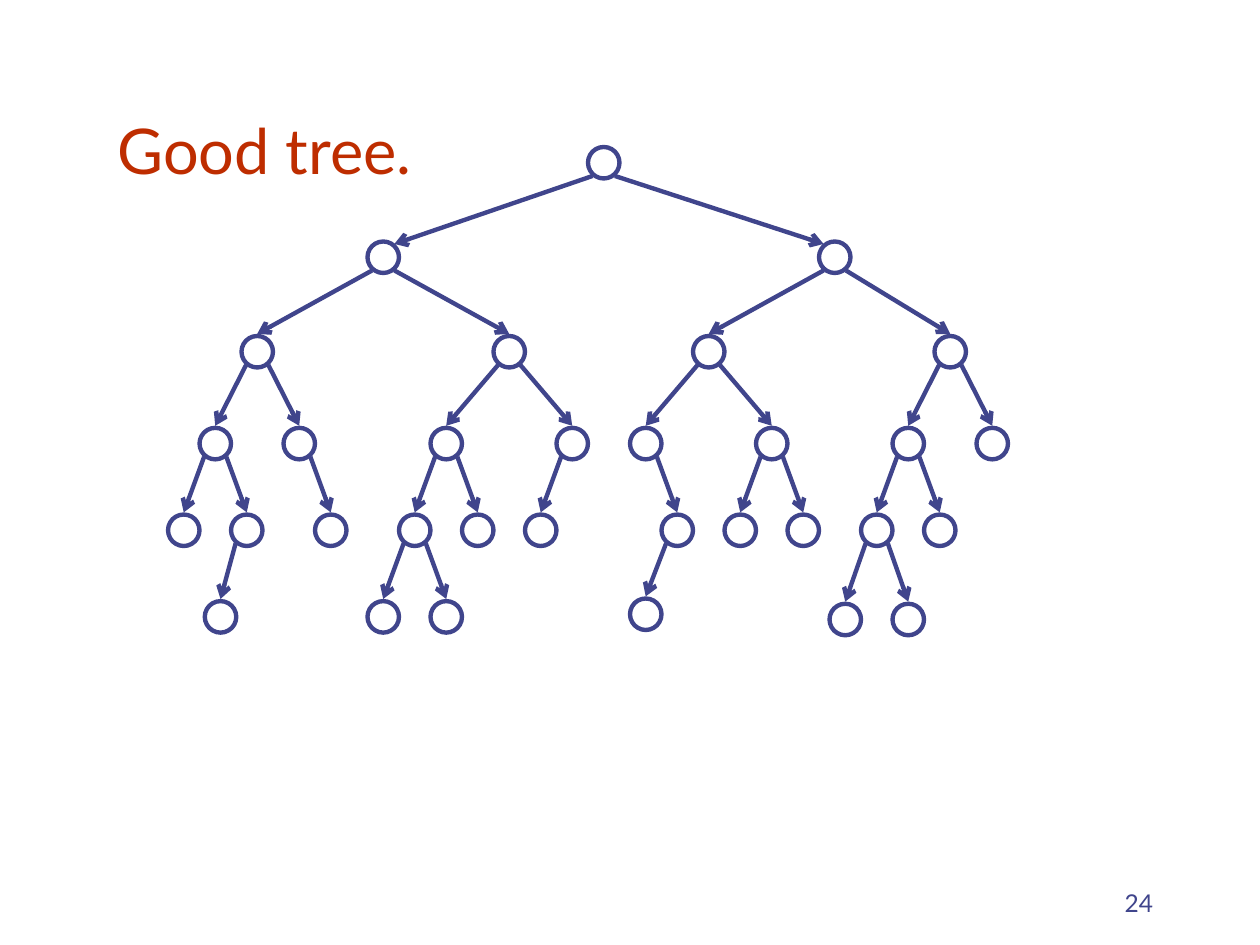
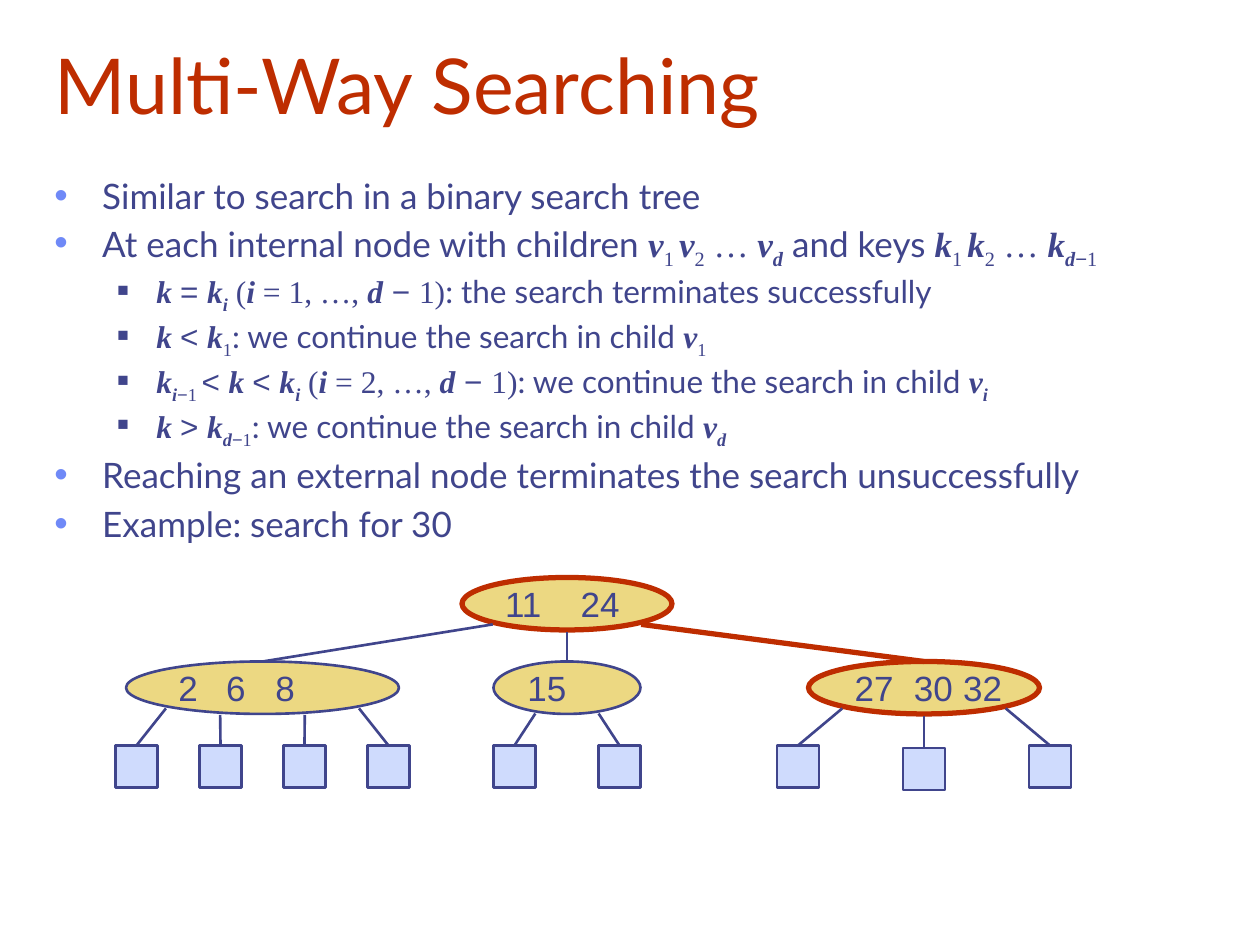
from dataclasses import dataclass
from math import sqrt

from lxml import etree
from pptx import Presentation
from pptx.dml.color import RGBColor
from pptx.enum.shapes import MSO_CONNECTOR, MSO_SHAPE
from pptx.enum.text import MSO_ANCHOR, PP_ALIGN
from pptx.oxml.ns import qn
from pptx.util import Inches, Pt

STRAIGHT = MSO_CONNECTOR.STRAIGHT
ELLIPSE, SQUARE = MSO_SHAPE.OVAL, MSO_SHAPE.RECTANGLE
TOP, MIDDLE, BOTTOM = MSO_ANCHOR.TOP, MSO_ANCHOR.MIDDLE, MSO_ANCHOR.BOTTOM
LEFT, RIGHT = PP_ALIGN.LEFT, PP_ALIGN.RIGHT

INK, ACCENT, BULLET, GOLD, SKY = "40458C", "BE2D00", "6F89F7", "ECD882", "CFDBFD"
SANS, SERIF, SIGNS = "Lato", "Times New Roman", "Arial"
COLUMNS, ROWS = 120, 90
DIAGONAL = sqrt(0.5)
GAP = 0.2

PLAIN = (SANS, False, False)
VAR, VAR_SUB = (SERIF, True, False), (SERIF, True, True)
NUM, NUM_SUB = (SERIF, False, False), (SERIF, False, True)
SIGN, SIGN_SUB = (SIGNS, False, False), (SIGNS, False, True)

LEVELS = [
    dict(size=20, bullet="•", tint=BULLET, percent=110, indent=0.38, hang=0.38),
    dict(size=18, bullet="■", tint=INK, percent=60, indent=0.81, hang=0.31),
]


def rgb(value):
    return RGBColor.from_string(value)


def add_xml(parent, tag, **attributes):
    return etree.SubElement(parent, qn(tag), attributes)


@dataclass
class Node:
    column: float
    children: tuple = ()
    row: float = None


class Deck:
    def __init__(self):
        self.presentation = Presentation()
        self.presentation.slide_width = Inches(10)
        self.presentation.slide_height = Inches(7.5)
        self.column = self.presentation.slide_width / COLUMNS
        self.row = self.presentation.slide_height / ROWS
        self.slide = None

    def new_slide(self):
        self.slide = self.presentation.slides.add_slide(self.presentation.slide_layouts[6])

    def place(self, left, top, width, height):
        return [round(v * unit) for v, unit in
                zip((left, top, width, height), (self.column, self.row) * 2)]

    def style_font(self, paragraph, size, color, name=SANS):
        paragraph.font.size = Pt(size)
        paragraph.font.color.rgb = rgb(color)
        paragraph.font.name = name

    def text_frame(self, box, anchor, wrap=True):
        frame = self.slide.shapes.add_textbox(*self.place(*box)).text_frame
        frame.word_wrap = wrap
        frame.vertical_anchor = anchor
        return frame

    def text(self, box, words, size, color=INK, anchor=BOTTOM, align=LEFT, wrap=True):
        paragraph = self.text_frame(box, anchor, wrap).paragraphs[0]
        paragraph.text = words
        paragraph.alignment = align
        self.style_font(paragraph, size, color)

    def bullets(self, box, items):
        frame = self.text_frame(box, TOP)
        for index, (level, spacing, parts) in enumerate(items):
            paragraph = frame.paragraphs[0] if index == 0 else frame.add_paragraph()
            look = LEVELS[level]
            paragraph.level = level
            paragraph.line_spacing = spacing
            paragraph.space_before = Pt(look["size"] * 0.2)
            properties = paragraph._p.get_or_add_pPr()
            properties.set("marL", str(Inches(look["indent"])))
            properties.set("indent", str(-Inches(look["hang"])))
            add_xml(add_xml(properties, "a:buClr"), "a:srgbClr", val=look["tint"])
            add_xml(properties, "a:buSzPct", val=str(look["percent"] * 1000))
            add_xml(properties, "a:buFont", typeface=SIGNS)
            add_xml(properties, "a:buChar", char=look["bullet"])
            self.style_font(paragraph, look["size"], INK)
            for (font, variable, lowered), words in parts:
                run = paragraph.add_run()
                run.text = words
                run.font.name = font
                run.font.bold = run.font.italic = variable
                if lowered:
                    run._r.get_or_add_rPr().set("baseline", "-25000")

    def shape(self, kind, box, line=INK, weight=1.5, fill=None):
        shape = self.slide.shapes.add_shape(kind, *self.place(*box))
        shape.shadow.inherit = False
        shape.line.color.rgb = rgb(line)
        shape.line.width = Pt(weight)
        if fill:
            shape.fill.solid()
            shape.fill.fore_color.rgb = rgb(fill)
        else:
            shape.fill.background()
        return shape

    def line(self, start, end, color=INK, weight=1.5, arrow=False, target=None):
        connector = self.slide.shapes.add_connector(STRAIGHT, *self.place(*start, *end))
        connector.line.color.rgb = rgb(color)
        connector.line.width = Pt(weight)
        if arrow:
            add_xml(connector.line._get_or_add_ln(), "a:tailEnd", type="arrow")
        add_xml(connector._element.spPr, "a:effectLst")
        if target is not None:
            connector.end_connect(target, 0)

    def binary_tree(self, node, level_rows, level=0):
        size = 3
        near = size * (1 - DIAGONAL) / 2
        far = size - near
        top = node.row or level_rows[level]
        self.shape(ELLIPSE, (node.column, top, size, size), weight=2.5)
        for child in node.children:
            goes_left = child.column < node.column
            start = (node.column + (near if goes_left else far), top + far + GAP)
            child_top = child.row or level_rows[level + 1]
            if level == 0:
                end = (child.column + (far if goes_left else near), child_top + near - GAP)
            else:
                end = (child.column + size / 2, child_top - GAP)
            self.line(start, end, weight=2.5, arrow=True)
            self.binary_tree(child, level_rows, level + 1)

    def key_node(self, box, keys, stops, visited=False):
        line, weight = (ACCENT, 3) if visited else (INK, 1.5)
        shape = self.shape(ELLIPSE, box, line, weight, GOLD)
        frame = shape.text_frame
        frame.word_wrap = False
        frame.vertical_anchor = MIDDLE
        paragraph = frame.paragraphs[0]
        paragraph.text = "\t".join(keys)
        paragraph.alignment = LEFT
        if stops:
            tabs = add_xml(paragraph._p.get_or_add_pPr(), "a:tabLst")
            for stop in stops:
                add_xml(tabs, "a:tab", pos=str(Inches(stop)), algn="l")
        self.style_font(paragraph, 20, INK, SIGNS)
        return shape

    def branch(self, box, share, end, target, visited=False):
        left, top, width, height = box
        start = (left + width / 2 * (1 + share),
                 top + height / 2 * (1 + sqrt(1 - share ** 2)) + GAP)
        line, weight = (ACCENT, 3) if visited else (INK, 1.5)
        self.line(start, end, line, weight, target=target)


def good_tree(deck):
    deck.new_slide()
    deck.text((86, 82, 25, 6), "24", 14, align=RIGHT)
    left_half = Node(35, (
        Node(23, (Node(19, (Node(16), Node(22, (Node(19.5),)))),
                  Node(27, (Node(30),)))),
        Node(47, (Node(41, (Node(38, (Node(35), Node(41))), Node(44))),
                  Node(53, (Node(50),))))))
    right_half = Node(78, (
        Node(66, (Node(60, (Node(63, (Node(60, row=57),)),)),
                  Node(72, (Node(69), Node(75))))),
        Node(89, (Node(85, (Node(82, (Node(79, row=57.5), Node(85, row=57.5))),
                            Node(88))),
                  Node(93)))))
    deck.binary_tree(Node(56, (left_half, right_half)), [14, 23, 32, 40.75, 49, 57.25])
    deck.text((10, 10, 30.4, 8.4), "Good tree.", 36, ACCENT, TOP, wrap=False)


def multi_way_searching(deck):
    deck.new_slide()
    deck.text((4, 2, 114, 11), "Multi-Way Searching", 44, ACCENT)
    go_on = (PLAIN, ": we continue the search in child ")

    def index_range(first):
        return [(NUM, " ("), (VAR, "i"), (NUM, f" = {first}, …, "), (VAR, "d"),
                (SIGN, " − "), (NUM, "1)")]

    def series(letter, last):
        return [(VAR, letter), (NUM_SUB, "1 "), (VAR, letter), (NUM_SUB, "2"),
                (NUM, " … "), (VAR, letter), *last]

    d_minus_1 = [(VAR_SUB, "d"), (SIGN_SUB, "−"), (NUM_SUB, "1")]
    deck.bullets((4, 16, 114, 63), [
        (0, 1.0, [(PLAIN, "Similar to search in a binary search tree")]),
        (0, 0.9, [(PLAIN, "At each internal node with children "),
                  *series("v", [(VAR_SUB, "d")]), (PLAIN, " and keys "),
                  *series("k", d_minus_1)]),
        (1, 0.9, [(VAR, "k "), (SIGN, "= "), (VAR, "k"), (VAR_SUB, "i"), *index_range(1),
                  (PLAIN, ": the search terminates successfully")]),
        (1, 0.9, [(VAR, "k "), (SIGN, "< "), (VAR, "k"), (NUM_SUB, "1"), go_on,
                  (VAR, "v"), (NUM_SUB, "1")]),
        (1, 0.9, [(VAR, "k"), (VAR_SUB, "i"), (SIGN_SUB, "−"), (NUM_SUB, "1 "),
                  (SIGN, "< "), (VAR, "k "), (SIGN, "< "), (VAR, "k"), (VAR_SUB, "i"),
                  *index_range(2), go_on, (VAR, "v"), (VAR_SUB, "i")]),
        (1, 0.9, [(VAR, "k "), (SIGN, "> "), (VAR, "k"), *d_minus_1, go_on,
                  (VAR, "v"), (VAR_SUB, "d")]),
        (0, 1.0, [(PLAIN, "Reaching an external node terminates the search unsuccessfully")]),
        (0, 1.0, [(PLAIN, "Example: search for 30")]),
    ])

    root_box = (44, 55, 20, 5)
    deck.key_node(root_box, ["11", "24"], [0.6], visited=True)
    subtrees = [
        (12, 26, ["2", "6", "8"], [0.38, 0.77], -DIAGONAL, False,
         [(11, 71, -DIAGONAL), (19, 71, -0.31), (27, 71, 0.31), (35, 71, DIAGONAL)]),
        (47, 14, ["15"], [], 0, False, [(47, 71, -0.43), (57, 71, 0.43)]),
        (77, 22, ["27", "30", "32"], [0.47, 0.86], DIAGONAL, True,
         [(74, 71, -DIAGONAL), (86, 71.25, 0), (98, 71, DIAGONAL)]),
    ]
    for left, width, keys, stops, root_share, visited, leaves in subtrees:
        box = (left, 63, width, 5)
        keys_oval = deck.key_node(box, keys, stops, visited)
        deck.branch(root_box, root_share, (left + width / 2, 63), keys_oval, visited)
        for column, row, share in leaves:
            external = deck.shape(SQUARE, (column, row, 4, 4), fill=SKY)
            deck.branch(box, share, (column + 2, row), external)


def main():
    deck = Deck()
    good_tree(deck)
    multi_way_searching(deck)
    deck.presentation.save("out.pptx")


if __name__ == "__main__":
    main()
